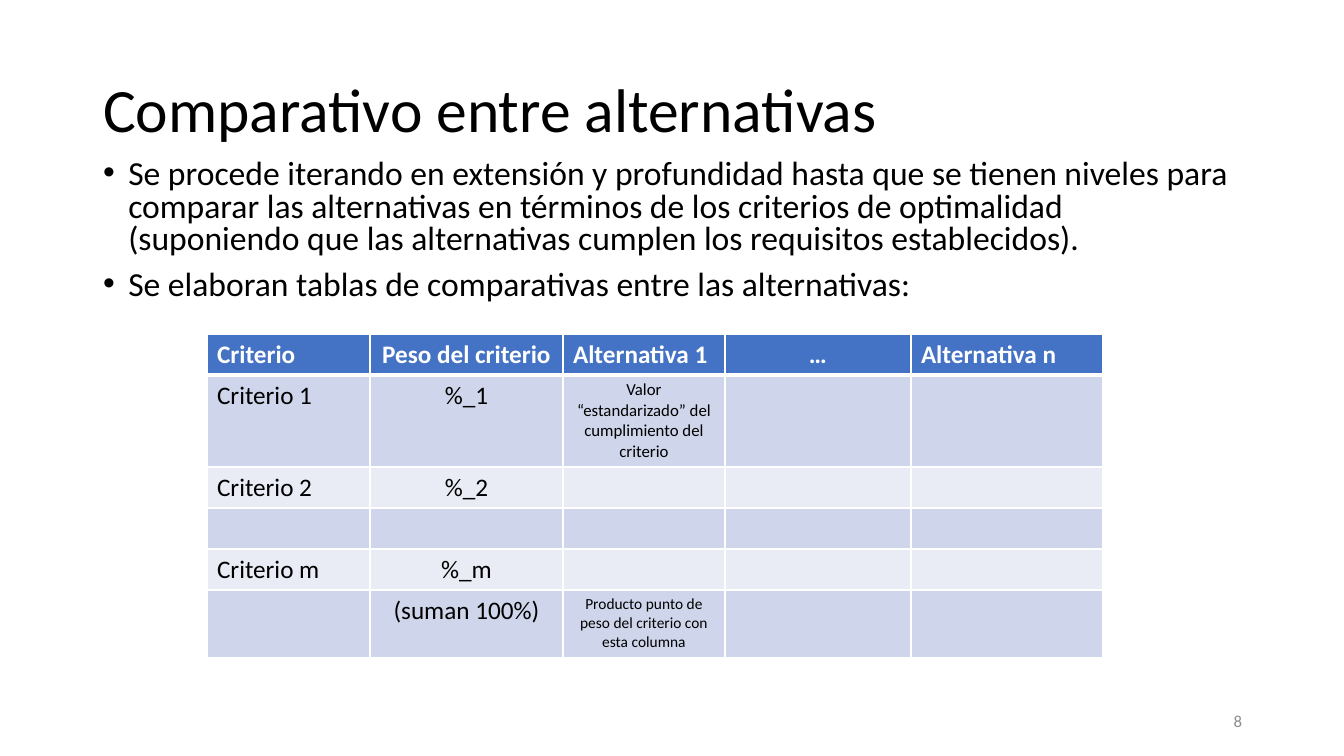
from lxml.etree import SubElement
from pptx import Presentation
from pptx.dml.color import RGBColor
from pptx.enum.text import MSO_ANCHOR, MSO_AUTO_SIZE, PP_ALIGN
from pptx.oxml.ns import qn
from pptx.util import Emu, Pt

FONT = "Calibri"
BLACK, WHITE, GRAY = "000000", "FFFFFF", "8C8C8C"
HEADER_FILL, BAND_FILLS = "4472C4", ("CFD5EA", "E9EBF5")

TITLE = "Comparativo entre alternativas"
BULLETS = [
    "Se procede iterando en extensión y profundidad hasta que se tienen niveles "
    "para comparar las alternativas en términos de los criterios de optimalidad "
    "(suponiendo que las alternativas cumplen los requisitos establecidos).",
    "Se elaboran tablas de comparativas entre las alternativas:",
]
STANDARD_VALUE = "Valor “estandarizado” del cumplimiento del criterio"
DOT_PRODUCT = "Producto punto de peso del criterio con esta columna"
CRITERIA_ROWS = [
    ["Criterio", "Peso del criterio", "Alternativa 1", "…", "Alternativa n"],
    ["Criterio 1", "%_1", STANDARD_VALUE, "", ""],
    ["Criterio 2", "%_2", "", "", ""],
    ["", "", "", "", ""],
    ["Criterio m", "%_m", "", "", ""],
    ["", "(suman 100%)", DOT_PRODUCT, "", ""],
]
NOTE_SIZES = {STANDARD_VALUE: 12, DOT_PRODUCT: 11}
LEFT_ALIGNED = {"Alternativa 1", "Alternativa n"}
COLUMN_WIDTHS = [163, 193, 162, 186, 192]
ROW_HEIGHTS = [41, 92, 41, 41, 41, 67]


def px(pixels):
    """Turn whole pixels into EMU."""
    return Emu(round(pixels * 914400 / 100.8))


def color(hex_value):
    """Turn a hex string into a colour."""
    return RGBColor.from_string(hex_value)


def place(shape, left, top, width, height):
    """Set the position and size of a shape in pixels."""
    shape.left, shape.top = px(left), px(top)
    shape.width, shape.height = px(width), px(height)


def add_text(paragraph, text, size, hex_value, bold=False, align=PP_ALIGN.LEFT):
    """Add one formatted run to a paragraph."""
    paragraph.alignment = align
    run = paragraph.add_run()
    run.text = text
    run.font.name = FONT
    run.font.size = Pt(size)
    run.font.bold = bold
    run.font.color.rgb = color(hex_value)


def fill_title(title):
    """Place the title and write its text."""
    place(title, 93, 40, 1159, 146)
    frame = title.text_frame
    frame.auto_size = MSO_AUTO_SIZE.NONE
    frame.vertical_anchor = MSO_ANCHOR.MIDDLE
    frame.paragraphs[0].line_spacing = 0.9
    add_text(frame.paragraphs[0], TITLE, 44, BLACK)


def fill_bullets(body):
    """Place the body and write its bulleted list."""
    place(body, 93, 155, 1159, 169)
    frame = body.text_frame
    frame.auto_size = MSO_AUTO_SIZE.NONE
    for index, text in enumerate(BULLETS):
        paragraph = frame.add_paragraph() if index else frame.paragraphs[0]
        paragraph.line_spacing = 0.8
        paragraph.space_before = Pt(10)
        add_text(paragraph, text, 24, BLACK)
        properties = paragraph._p.get_or_add_pPr()
        properties.set("marL", "228600")
        properties.set("indent", "-228600")
        SubElement(properties, qn("a:buFont"), typeface="Arial")
        SubElement(properties, qn("a:buChar"), char="•")


def set_borders(cell, top, bottom):
    """Draw white cell borders; top and bottom widths are in points."""
    properties = cell._tc.get_or_add_tcPr()
    for side, width in (("L", 1), ("R", 1), ("T", top), ("B", bottom)):
        line = SubElement(properties, qn(f"a:ln{side}"), w=str(Pt(width)))
        fill = SubElement(line, qn("a:solidFill"))
        SubElement(fill, qn("a:srgbClr"), val=WHITE)


def fill_cell(cell, text, row, column):
    """Format one table cell and write its text."""
    is_header = row == 0
    set_borders(cell, top=3 if row == 1 else 1, bottom=3 if is_header else 1)
    cell.fill.solid()
    cell.fill.fore_color.rgb = color(
        HEADER_FILL if is_header else BAND_FILLS[(row - 1) % 2])
    if text:
        is_left = column == 0 or text in LEFT_ALIGNED
        add_text(cell.text_frame.paragraphs[0], text, NOTE_SIZES.get(text, 18),
                 WHITE if is_header else BLACK, is_header,
                 PP_ALIGN.LEFT if is_left else PP_ALIGN.CENTER)


def add_criteria_table(slide):
    """Add the table that compares the alternatives."""
    table = slide.shapes.add_table(
        len(ROW_HEIGHTS), len(COLUMN_WIDTHS), px(207), px(334),
        px(sum(COLUMN_WIDTHS)), px(sum(ROW_HEIGHTS))).table
    for column, width in zip(table.columns, COLUMN_WIDTHS):
        column.width = px(width)
    for row, height in zip(table.rows, ROW_HEIGHTS):
        row.height = px(height)
    for row, texts in enumerate(CRITERIA_ROWS):
        for column, text in enumerate(texts):
            fill_cell(table.cell(row, column), text, row, column)


def add_page_number(slide, number):
    """Add the page number at the bottom right."""
    box = slide.shapes.add_textbox(px(950), px(701), px(302), px(40))
    frame = box.text_frame
    frame.word_wrap = True
    frame.vertical_anchor = MSO_ANCHOR.MIDDLE
    add_text(frame.paragraphs[0], number, 12, GRAY, align=PP_ALIGN.RIGHT)


def main():
    """Build the slide and save it."""
    presentation = Presentation()
    presentation.slide_width, presentation.slide_height = px(1344), px(756)
    slide = presentation.slides.add_slide(presentation.slide_layouts[1])
    fill_title(slide.shapes.title)
    fill_bullets(slide.placeholders[1])
    add_criteria_table(slide)
    add_page_number(slide, "8")
    presentation.save("out.pptx")


main()
